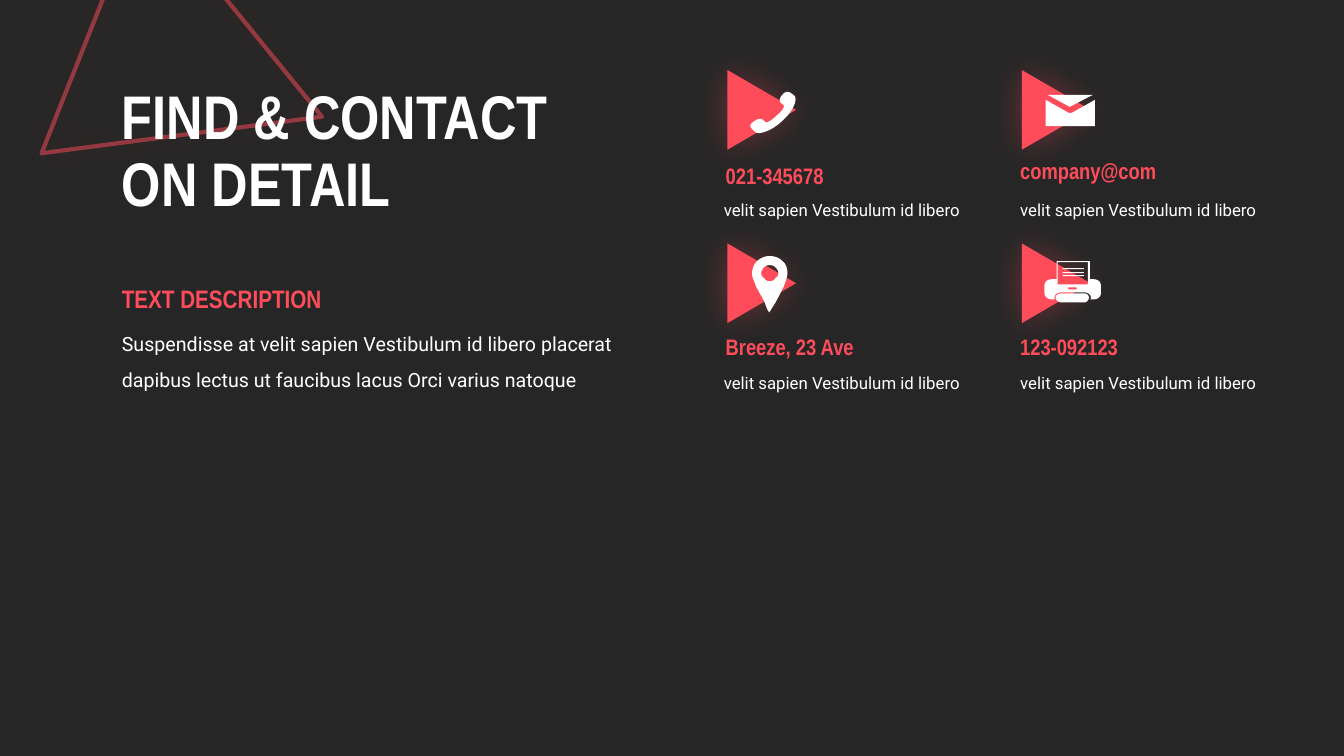
import pptx
import pptx.dml.color
import pptx.enum.shapes
import pptx.enum.text
import pptx.oxml
import pptx.oxml.ns
import pptx.util
from dataclasses import dataclass
from pptx.util import Inches


@dataclass(frozen=True)
class Theme:
    dark: str = "262626"
    accent: str = "FF4C5B"
    white: str = "FFFFFF"
    heading_font: str = "Arial Narrow"
    body_font: str = "Roboto"
    title: int = 44
    heading: int = 18
    label: int = 16
    body: int = 14
    detail: int = 12
    glow_blur: int = 25
    glow_alpha: int = 35
    outline: int = 3
    outline_alpha: int = 50


T = Theme()
MSO_SHAPE = pptx.enum.shapes.MSO_SHAPE
COLUMN_STEP, ROW_STEP = 2.92, 1.72

CONTACTS = [
    (0, 0, "021-345678", 1.56),
    (1, 0, "company@com", 1.51),
    (0, 1, "Breeze, 23 Ave", 3.26),
    (1, 1, "123-092123", 3.26),
]

PHONE = [[
    (7.77, 1.04), (7.74, 1.02, 7.71, 1, 7.76, 0.94), (7.81, 0.88, 7.85, 0.93, 7.88, 0.95),
    (7.91, 0.98, 7.88, 1.09, 7.76, 1.2), (7.64, 1.31, 7.52, 1.34, 7.49, 1.31),
    (7.46, 1.28, 7.41, 1.25, 7.47, 1.21), (7.54, 1.16, 7.56, 1.18, 7.59, 1.21),
    (7.6, 1.23, 7.66, 1.19, 7.7, 1.15), (7.75, 1.11, 7.79, 1.06, 7.77, 1.04),
]]
ENVELOPE = [
    [(10.63, 1.12), (10.86, 0.99), (10.86, 1.25), (10.37, 1.25), (10.37, 0.99), (10.6, 1.12)],
    [(10.84, 0.94), (10.61, 1.06), (10.39, 0.94)],
]
PIN = [
    [
        (7.51, 2.59), (7.54, 2.56, 7.59, 2.54, 7.63, 2.54), (7.69, 2.54, 7.73, 2.56, 7.76, 2.59),
        (7.8, 2.62, 7.81, 2.67, 7.81, 2.71), (7.81, 2.73, 7.8, 2.78, 7.77, 2.85),
        (7.74, 2.91, 7.71, 2.97, 7.68, 3.02), (7.63, 3.1), (7.61, 3.07), (7.58, 2.99),
        (7.56, 2.95, 7.54, 2.92, 7.52, 2.88), (7.5, 2.85, 7.49, 2.82, 7.48, 2.79),
        (7.46, 2.75, 7.46, 2.73, 7.46, 2.71), (7.46, 2.66, 7.48, 2.62, 7.51, 2.59),
    ],
    [
        (7.58, 2.76), (7.59, 2.78, 7.61, 2.79, 7.63, 2.79), (7.66, 2.79, 7.68, 2.78, 7.69, 2.76),
        (7.71, 2.75, 7.72, 2.73, 7.72, 2.71), (7.72, 2.69, 7.71, 2.67, 7.69, 2.65),
        (7.68, 2.64, 7.66, 2.63, 7.63, 2.63), (7.61, 2.63, 7.59, 2.64, 7.58, 2.65),
        (7.56, 2.67, 7.55, 2.69, 7.55, 2.71), (7.55, 2.73, 7.56, 2.75, 7.58, 2.76),
    ],
]
PRINTER_TRAY = [[
    (10.75, 2.91), (10.53, 2.91), (10.5, 2.91, 10.47, 2.93, 10.47, 2.95),
    (10.47, 2.98, 10.5, 3, 10.53, 3), (10.75, 3), (10.78, 3, 10.8, 2.98, 10.8, 2.95),
    (10.8, 2.93, 10.78, 2.91, 10.75, 2.91),
]]
PRINTER_BODY = [
    [
        (10.85, 2.77), (10.81, 2.77), (10.81, 2.59), (10.48, 2.59), (10.48, 2.77), (10.43, 2.77),
        (10.39, 2.77, 10.36, 2.8, 10.36, 2.83), (10.36, 2.91),
        (10.36, 2.94, 10.39, 2.97, 10.43, 2.97), (10.46, 2.97),
        (10.46, 2.97, 10.46, 2.96, 10.46, 2.95), (10.46, 2.92, 10.49, 2.9, 10.53, 2.9),
        (10.75, 2.9), (10.79, 2.9, 10.82, 2.92, 10.82, 2.95),
        (10.82, 2.96, 10.82, 2.97, 10.81, 2.97), (10.85, 2.97),
        (10.89, 2.97, 10.92, 2.94, 10.92, 2.91), (10.92, 2.83),
        (10.92, 2.8, 10.89, 2.77, 10.85, 2.77),
    ],
    [(10.49, 2.6), (10.79, 2.6), (10.79, 2.82), (10.49, 2.82)],
    [(10.68, 2.87), (10.6, 2.87), (10.59, 2.86), (10.6, 2.85), (10.68, 2.85)],
]


def rgb(color):
    return pptx.dml.color.RGBColor.from_string(color)


def fill_plain(sp, color):
    sp.shadow.inherit = False
    sp.fill.solid()
    sp.fill.fore_color.rgb = rgb(color)
    sp.line.fill.background()


def add_glow(sp):
    sp.shadow.inherit = False
    effects = sp.element.spPr.find(pptx.oxml.ns.qn("a:effectLst"))
    effects.append(pptx.oxml.parse_xml(
        f'<a:outerShdw {pptx.oxml.ns.nsdecls("a")} blurRad="{pptx.util.Pt(T.glow_blur)}" '
        f'dist="0" dir="0" algn="ctr" rotWithShape="0"><a:srgbClr val="{T.accent}">'
        f'<a:alpha val="{T.glow_alpha * 1000}"/></a:srgbClr></a:outerShdw>'))


def add_triangle(s, x, y, w, h, rotation):
    sp = s.shapes.add_shape(MSO_SHAPE.ISOSCELES_TRIANGLE, Inches(x), Inches(y), Inches(w), Inches(h))
    sp.rotation = rotation
    fill_plain(sp, T.accent)
    add_glow(sp)
    return sp


def add_outline_triangle(s):
    sp = add_triangle(s, 0.69, -0.52, 2.73, 2.45, 111.7)
    sp.fill.background()
    sp.line.color.rgb = rgb(T.accent)
    sp.line.width = pptx.util.Pt(T.outline)
    color = sp.element.spPr.find(".//" + pptx.oxml.ns.qn("a:ln")).find(".//" + pptx.oxml.ns.qn("a:srgbClr"))
    color.append(pptx.oxml.parse_xml(
        f'<a:alpha {pptx.oxml.ns.nsdecls("a")} val="{T.outline_alpha * 1000}"/>'))


def trace(contour, steps=8):
    points = [contour[0]]
    for part in contour[1:]:
        if len(part) == 2:
            points.append(part)
            continue
        controls = [points[-1], part[:2], part[2:4], part[4:]]
        for i in range(1, steps + 1):
            t = i / steps
            weights = ((1 - t) ** 3, 3 * t * (1 - t) ** 2, 3 * t * t * (1 - t), t ** 3)
            points.append(tuple(sum(w * c[axis] for w, c in zip(weights, controls)) for axis in (0, 1)))
    return [(Inches(x), Inches(y)) for x, y in points]


def add_icon(shapes, contours):
    first, *others = [trace(contour) for contour in contours]
    builder = shapes.build_freeform(*first[0], scale=1.0)
    builder.add_line_segments(first[1:], close=True)
    for points in others:
        builder.move_to(*points[0])
        builder.add_line_segments(points[1:], close=True)
    fill_plain(builder.convert_to_shape(), T.white)


def add_printer(s):
    group = s.shapes.add_group_shape()
    add_icon(group.shapes, PRINTER_TRAY)
    add_icon(group.shapes, PRINTER_BODY)
    for y in (2.66, 2.7, 2.73):
        sp = group.shapes.add_shape(MSO_SHAPE.RECTANGLE, Inches(10.54), Inches(y), Inches(0.21), Inches(0.01))
        fill_plain(sp, T.white)


def add_run(p, text, font, size, color, bold):
    r = p.add_run()
    r.text = text
    r.font.name = font
    r.font.size = pptx.util.Pt(size)
    r.font.color.rgb = rgb(color)
    r.font.bold = bold


def add_text(s, x, y, w, h, text, size, heading=False):
    tf = s.shapes.add_textbox(Inches(x), Inches(y), Inches(w), Inches(h)).text_frame
    tf.word_wrap = True
    tf.auto_size = pptx.enum.text.MSO_AUTO_SIZE.SHAPE_TO_FIT_TEXT
    p = tf.paragraphs[0]
    if heading:
        add_run(p, text, T.heading_font, size, T.accent, True)
    else:
        p.line_spacing = 1.5
        add_run(p, text, T.body_font, size, T.white, False)


def set_title(s, lines):
    sp = s.shapes.title
    s.shapes.element.append(sp.element)
    sp.left, sp.top, sp.width, sp.height = Inches(1.11), Inches(0.73), Inches(5.62), Inches(1.58)
    sp.text_frame.vertical_anchor = pptx.enum.text.MSO_ANCHOR.MIDDLE
    p = sp.text_frame.paragraphs[0]
    p.alignment = pptx.enum.text.PP_ALIGN.LEFT
    p.line_spacing = 0.9
    for i, line in enumerate(lines):
        if i:
            p.add_line_break()
        add_run(p, line, T.heading_font, T.title, T.white, True)


def add_contact(s, column, row, label, label_y):
    dx, dy = column * COLUMN_STEP, row * ROW_STEP
    add_triangle(s, 7.16 + dx, 0.75 + dy, 0.79, 0.68, 90)
    add_text(s, 7.1 + dx, label_y, 1.9, 0.37, label, T.label, heading=True)
    add_text(s, 7.08 + column * 2.94, 1.83 + dy, 2.65, 0.37, "velit sapien Vestibulum id libero", T.detail)


def main():
    prs = pptx.Presentation()
    prs.slide_width, prs.slide_height = Inches(13.33), Inches(7.5)
    s = prs.slides.add_slide(prs.slide_layouts[5])
    s.background.fill.solid()
    s.background.fill.fore_color.rgb = rgb(T.dark)
    add_outline_triangle(s)
    set_title(s, ["FIND & CONTACT", "ON DETAIL"])
    add_text(s, 1.11, 3.13, 5.13, 0.77, "Suspendisse at velit sapien Vestibulum id libero placerat "
             "dapibus lectus ut faucibus lacus Orci varius natoque", T.body)
    add_text(s, 1.11, 2.76, 2.45, 0.4, "TEXT DESCRIPTION", T.heading, heading=True)
    for contact in CONTACTS:
        add_contact(s, *contact)
    for contours in (PHONE, ENVELOPE, PIN):
        add_icon(s.shapes, contours)
    add_printer(s)
    prs.save("out.pptx")


if __name__ == "__main__":
    main()
